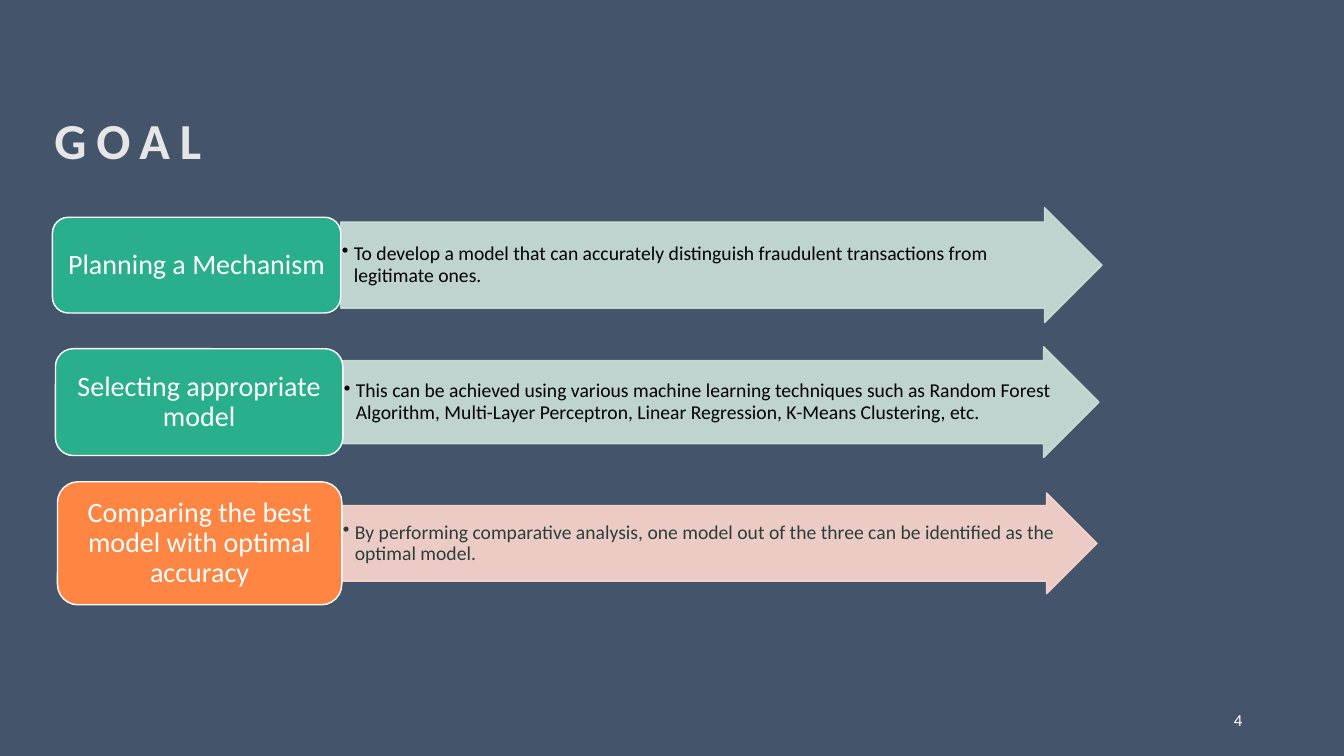
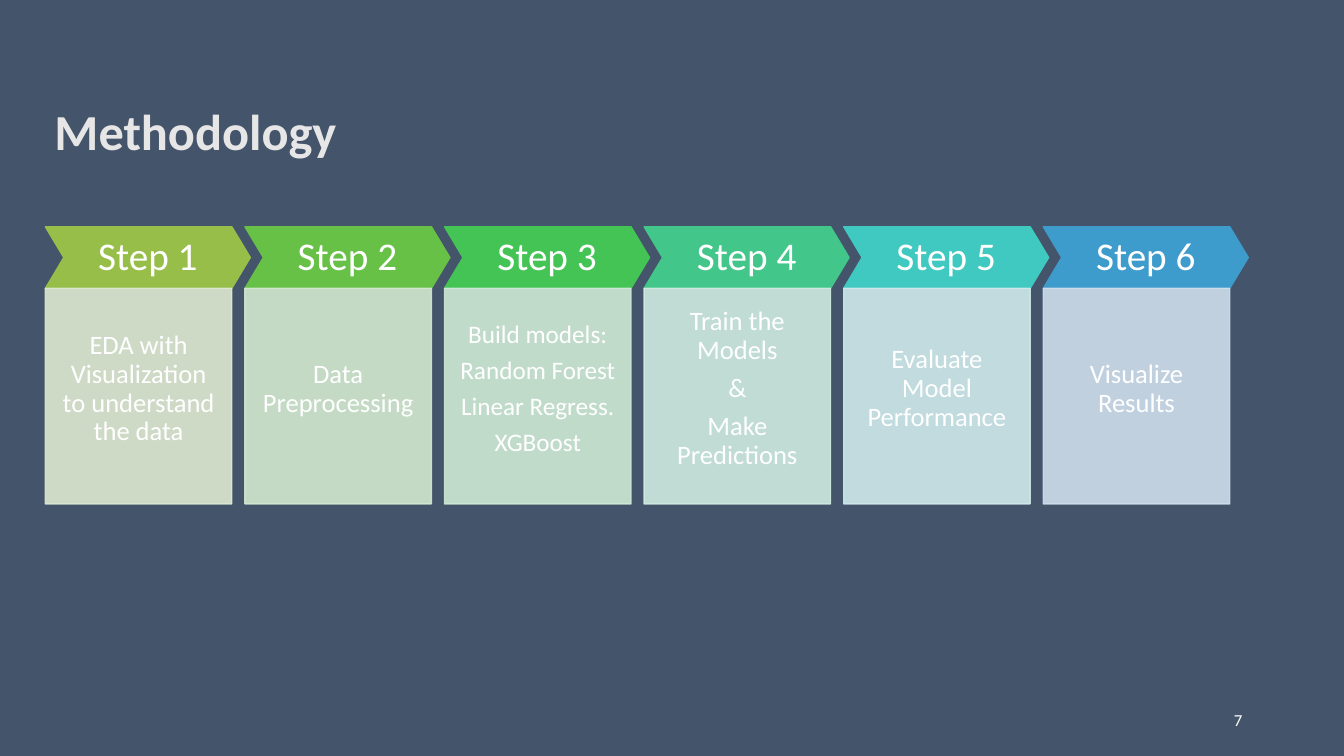
from dataclasses import dataclass

from lxml.etree import SubElement
from pptx import Presentation
from pptx.dml.color import RGBColor
from pptx.enum.shapes import MSO_SHAPE as Preset
from pptx.enum.text import MSO_ANCHOR as Anchor, MSO_AUTO_SIZE as AutoSize, PP_ALIGN as Align
from pptx.oxml.ns import qn
from pptx.util import Inches, Pt


@dataclass(frozen=True)
class Theme:
    """Colours, type sizes and font shared by all slides."""
    font: str = "Calibri"
    ground: str = "44546A"
    title: str = "E7E6E6"
    light: str = "FFFFFF"
    black: str = "000000"
    slate: str = "2B3E3D"
    green: str = "29AF8C"
    mint: str = "CDE3DA"
    orange: str = "FE8542"
    peach: str = "FFD9CF"
    title_size: int = 36
    step_size: int = 28
    label_size: int = 20
    detail_size: int = 14
    number_size: int = 12
    tint_opacity: int = 90


@dataclass(frozen=True)
class Box:
    """A rectangle in inches."""
    left: float
    top: float
    width: float
    height: float

    def band(self, left, width, height):
        """Return a vertically centred part of this box."""
        return Box(self.left + left, self.top + (self.height - height) / 2, width, height)

    def lengths(self):
        """Return the four lengths that shape calls expect."""
        return [Inches(v) for v in (self.left, self.top, self.width, self.height)]


@dataclass(frozen=True)
class Goal:
    """One labelled arrow: its row, inner sizes, wording and colours."""
    row: Box
    label_width: float
    label_height: float
    arrow_height: float
    label: str
    detail: str
    fill: str
    tint: str
    ink: str


@dataclass(frozen=True)
class Step:
    """One column of the process."""
    fill: str
    tint: str
    size: int
    lines: tuple


THEME = Theme()
SLIDE = Box(0, 0, 13.33, 7.5)
TITLE = Box(0.44, 0.93, 5.37, 0.8)
NUMBER = Box(9.42, 6.95, 3, 0.4)
PROCESS = Box(0.45, 2.25, 11.93, 2.75)
STEP_GAP = 0.13
HEAD_HEIGHT = 0.61
CHEVRON_POINT = 0.3

GOALS = [
    Goal(Box(0.52, 2.06, 10.41, 1.14), 2.86, 0.95, 1.14, "Planning a Mechanism",
         "To develop a model that can accurately distinguish fraudulent transactions "
         "from legitimate ones.", THEME.green, THEME.mint, THEME.black),
    Goal(Box(0.55, 3.44, 10.35, 1.1), 2.85, 1.06, 1.1, "Selecting appropriate model",
         "This can be achieved using various machine learning techniques such as "
         "Random Forest Algorithm, Multi-Layer Perceptron, Linear Regression, "
         "K-Means Clustering, etc.", THEME.green, THEME.mint, THEME.black),
    Goal(Box(0.57, 4.78, 10.31, 1.22), 2.82, 1.22, 1, "Comparing the best model with optimal accuracy",
         "By performing comparative analysis, one model out of the three can be "
         "identified as the optimal model.", THEME.orange, THEME.peach, THEME.slate),
]

STEPS = [
    Step("97BE49", "DDE8D0", 19, ("EDA with Visualization to understand the data",)),
    Step("67C147", "D3E9CF", 19, ("Data Preprocessing",)),
    Step("44C455", "CFEAD6", 18, ("Build models:", "Random Forest", "Linear Regress.", "XGBoost")),
    Step("42C689", "CFEBE1", 19, ("Train the Models", "&", "Make Predictions")),
    Step("3FC9C0", "CFEAEB", 19, ("Evaluate Model Performance",)),
    Step("3D9CCC", "CEDEEC", 19, ("Visualize Results",)),
]


def style_font(para, size, color, bold=False):
    """Set the font of a whole paragraph."""
    font = para.font
    font.name, font.size, font.bold = THEME.font, Pt(size), bold
    font.color.rgb = RGBColor.from_string(color)


def write(shape, lines, size, color, insets, align=Align.CENTER, after=0.35, bullet=False):
    """Fill a shape with paragraphs; after is a share of the type size."""
    frame = shape.text_frame
    frame.word_wrap = True
    frame.vertical_anchor = Anchor.MIDDLE
    frame.margin_left, frame.margin_top, frame.margin_right, frame.margin_bottom = map(Inches, insets)
    frame.text = "\n".join(lines)
    for para in frame.paragraphs:
        para.alignment = align
        para.line_spacing = 0.9
        para.space_after = Pt(size * after)
        if bullet:
            add_bullet(para)
        style_font(para, size, color)


def add_bullet(para):
    """Give a paragraph a hanging bullet."""
    properties = para._p.get_or_add_pPr()
    properties.set("marL", str(Inches(0.12)))
    properties.set("indent", str(Inches(-0.12)))
    SubElement(properties, qn("a:buChar")).set("char", "•")


def add_block(page, preset, box, fill, line, opacity=100, adjust=()):
    """Add a preset shape with a fill and a one-point outline."""
    shape = page.shapes.add_shape(preset, *box.lengths())
    shape.shadow.inherit = False
    for place, value in enumerate(adjust):
        shape.adjustments[place] = value
    shape.fill.solid()
    shape.fill.fore_color.rgb = RGBColor.from_string(fill)
    shape.line.color.rgb = RGBColor.from_string(line)
    shape.line.width = Pt(1)
    if opacity < 100:
        for color in shape._element.spPr.iter(qn("a:srgbClr")):
            SubElement(color, qn("a:alpha")).set("val", str(opacity * 1000))
    return shape


def add_page(deck, title, number, anchor=Anchor.MIDDLE, leading=0.9, tracking=0):
    """Add a slide with its title and page number."""
    page = deck.slides.add_slide(deck.slide_layouts.get_by_name("Title Only"))
    heading = page.shapes.title
    heading.left, heading.top, heading.width, heading.height = TITLE.lengths()
    frame = heading.text_frame
    frame.text = title
    frame.auto_size = AutoSize.NONE
    frame.vertical_anchor = anchor
    para = frame.paragraphs[0]
    para.alignment = Align.LEFT
    para.line_spacing = leading
    style_font(para, THEME.title_size, THEME.title, bold=True)
    if tracking:
        para.runs[0].font._element.set("spc", str(tracking * 100))
    footer = page.shapes.add_textbox(*NUMBER.lengths())
    write(footer, [str(number)], THEME.number_size, THEME.light,
          (0.1, 0.05, 0.1, 0.05), Align.RIGHT, after=0.5)
    return page


def add_goal(page, goal):
    """Place a label and the arrow that leaves it, centred in the goal's row."""
    arrow_box = goal.row.band(goal.label_width, goal.row.width - goal.label_width, goal.arrow_height)
    arrow = add_block(page, Preset.RIGHT_ARROW, arrow_box, goal.tint, goal.tint,
                      THEME.tint_opacity, (0.75, 0.5))
    write(arrow, [goal.detail], THEME.detail_size, goal.ink, (0.01,) * 4,
          Align.LEFT, after=0.15, bullet=True)
    label_box = goal.row.band(0, goal.label_width, goal.label_height)
    label = add_block(page, Preset.ROUNDED_RECTANGLE, label_box, goal.fill, THEME.light)
    write(label, [goal.label], THEME.label_size, THEME.light, (0.08, 0.04, 0.08, 0.04))


def add_process(page, box, steps):
    """Spread the steps over equal columns, each a chevron above a panel."""
    point = HEAD_HEIGHT * CHEVRON_POINT
    width = (box.width - point - STEP_GAP * (len(steps) - 1)) / len(steps)
    for place, step in enumerate(steps):
        left = box.left + place * (width + STEP_GAP)
        head_box = Box(left, box.top, width + point, HEAD_HEIGHT)
        head = add_block(page, Preset.CHEVRON, head_box, step.fill, step.fill, adjust=(CHEVRON_POINT,))
        write(head, [f"Step {place + 1}"], THEME.step_size, THEME.light, (0.08,) * 4)
        panel_box = Box(left, box.top + HEAD_HEIGHT, width, box.height - HEAD_HEIGHT)
        panel = add_block(page, Preset.RECTANGLE, panel_box, step.tint, step.tint, THEME.tint_opacity)
        write(panel, step.lines, step.size, THEME.light, (0.15, 0.15, 0.15, 0.29))


def build_goal(deck):
    """Build the slide of goals."""
    page = add_page(deck, "GOAL", 4, Anchor.BOTTOM, leading=1.2, tracking=7)
    for goal in GOALS:
        add_goal(page, goal)


def build_methodology(deck):
    """Build the slide of process steps."""
    page = add_page(deck, "Methodology", 7)
    add_process(page, PROCESS, STEPS)


def main():
    """Build and save the deck."""
    deck = Presentation()
    deck.slide_width, deck.slide_height = Inches(SLIDE.width), Inches(SLIDE.height)
    ground = deck.slide_master.background.fill
    ground.solid()
    ground.fore_color.rgb = RGBColor.from_string(THEME.ground)
    build_goal(deck)
    build_methodology(deck)
    deck.save("out.pptx")


if __name__ == "__main__":
    main()
